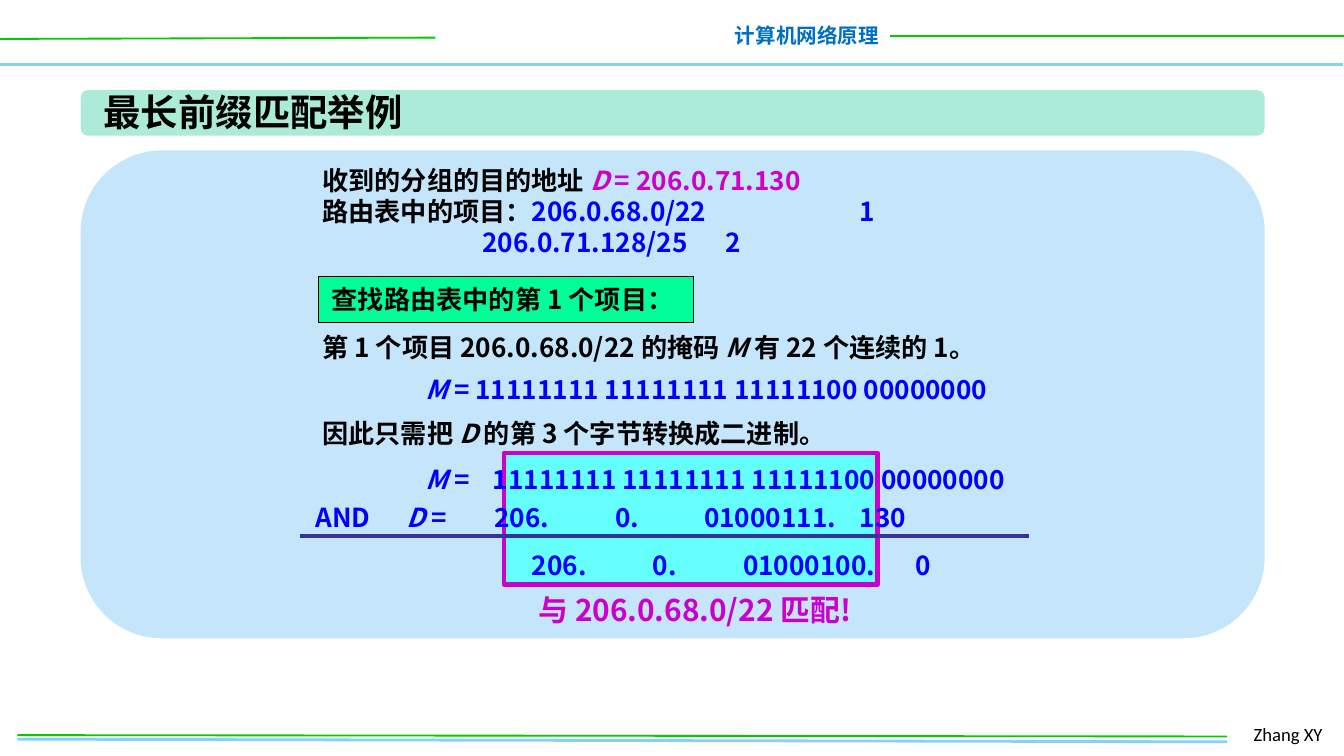
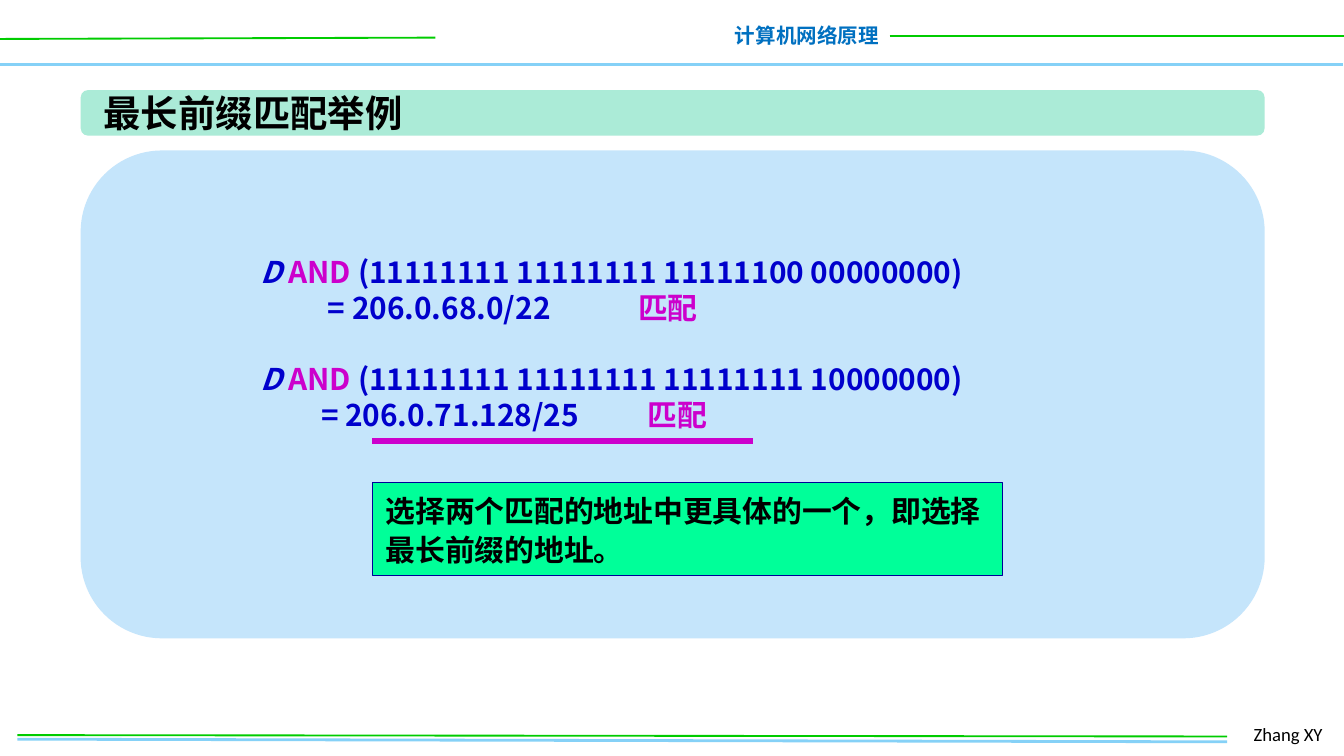
from pptx import Presentation
from pptx.dml.color import RGBColor
from pptx.enum.shapes import MSO_CONNECTOR as Link, MSO_SHAPE as Form
from pptx.enum.text import MSO_ANCHOR as Anchor, PP_ALIGN as Align
from pptx.oxml.ns import qn
from pptx.util import Inches, Pt
from lxml.etree import SubElement

FONT = "Noto Sans CJK SC"
BLACK, BLUE, NAVY, PINK = "000000", "0000FF", "0000CC", "CC00CC"
GREEN, SKY, MINT = "00CC00", "85D1F7", "00FF99"

TITLE = "最长前缀匹配举例"
RULES = [  # start, end, colour, points
    ((-0.01, 0.48), (9.99, 0.48), SKY, 2),
    ((0, 0.29), (3.24, 0.28), GREEN, 1),
    ((6.62, 0.27), (10.01, 0.27), GREEN, 1),
    ((0.13, 5.5), (9.13, 5.52), SKY, 1.5),
    ((0.13, 5.47), (9.13, 5.48), GREEN, 1),
]

# A paragraph is a list of (colour, text); *text* is italic.
INTRO = [
    [(BLACK, "收到的分组的目的地址 "), (PINK, "*D* = 206.0.71.130")],
    [(BLACK, "路由表中的项目："), (BLUE, "206.0.68.0/22\t1")],
    [(BLUE, "\t206.0.71.128/25\t2")],
]
INTRO_TABS = [[], [4], [1.19, 3]]
STEP = "查找路由表中的第 1 个项目："
MASK = "11111111 11111111 11111100 00000000"
ROWS = [  # left, top, width, height, colour, text, tab stops
    (2.25, 3.68, 5.33, 0.34, BLUE, "AND\t*D* =\t206.\t0.\t01000111.\t130",
     [0.68, 1.33, 2.23, 2.89, 4.05]),
    (2.3, 2.42, 5.73, 0.36, BLACK,
     "第 1 个项目 206.0.68.0/22 的掩码 *M *有 22 个连续的 1。", []),
    (3.07, 2.73, 5.08, 0.36, BLUE, f"*M* = {MASK}", []),
    (2.3, 3.06, 4.36, 0.36, BLACK,
     "因此只需把 *D *的第 3 个字节转换成二进制。", []),
    (3.07, 3.4, 5.27, 0.36, BLUE, f"*M* =\t{MASK}", [0.5]),
    (3.86, 4.04, 3.68, 0.34, BLUE, "206.\t0.\t01000100.\t0",
     [0.9, 1.57, 2.85]),
]
MATCH = "与 206.0.68.0/22 匹配!"

TESTS = [  # mask, result, tab stops of the result line
    (MASK, "206.0.68.0/22", [0.5, 2.81]),
    ("11111111 11111111 11111111 10000000", "206.0.71.128/25", [0.45, 2.88]),
]
CHOICE = "选择两个匹配的地址中更具体的一个，即选择最长前缀的地址。"


def tint(code):
    return RGBColor.from_string(code)


def write(frame, paras, size=14, color=BLACK, font=FONT, bold=True, wrap=True,
          align=Align.LEFT, tabs=(), before=(), spacing=None):
    """Fill a frame from a string or paragraphs; tabs and before go by paragraph."""
    if isinstance(paras, str):
        paras = [[(color, paras)]]
    frame.word_wrap = wrap
    frame.vertical_anchor = Anchor.TOP
    frame.margin_left = frame.margin_right = Inches(0.1)
    frame.margin_top = frame.margin_bottom = Inches(0.05)
    for n, runs in enumerate(paras):
        para = frame.add_paragraph() if n else frame.paragraphs[0]
        para.alignment = align
        para.space_before = Pt(before[n] if before else 0)
        if spacing:
            para.line_spacing = spacing
        if tabs and tabs[n]:
            stops = SubElement(para._p.get_or_add_pPr(), qn("a:tabLst"))
            for stop in tabs[n]:
                SubElement(stops, qn("a:tab"), pos=str(Inches(stop)), algn="l")
        for code, text in runs:
            for k, part in enumerate(text.split("*")):
                if not part:
                    continue
                run = para.add_run()
                run.text = part
                face = run.font
                face.size, face.bold, face.italic = Pt(size), bold, k % 2 == 1
                face.color.rgb = tint(code)
                face.name = font
                SubElement(run._r.get_or_add_rPr(), qn("a:ea"), typeface=font)


def label(slide, box, paras, **style):
    shape = slide.shapes.add_textbox(*map(Inches, box))
    write(shape.text_frame, paras, **style)


def block(slide, form, box, fill, edge=None, width=0.75):
    shape = slide.shapes.add_shape(form, *map(Inches, box))
    shape.shadow.inherit = False
    shape.fill.solid()
    shape.fill.fore_color.rgb = tint(fill)
    if edge:
        shape.line.color.rgb = tint(edge)
        shape.line.width = Pt(width)
    else:
        shape.line.fill.background()
    return shape


def rule(slide, start, end, color, width):
    line = slide.shapes.add_connector(Link.STRAIGHT, *map(Inches, start + end))
    line.line.color.rgb = tint(color)
    line.line.width = Pt(width)
    SubElement(line._element.spPr, qn("a:effectLst"))


def page(deck, top):
    """Add a slide with the shared rules, bands, footer and title."""
    slide = deck.slides.add_slide(deck.slide_layouts[5])
    for item in RULES:
        rule(slide, *item)
    label(slide, (5.36, 0.12, 1.28, 0.29), "计算机网络原理", size=11,
          color="0070C0", align=Align.RIGHT, wrap=False)
    label(slide, (9.23, 5.33, 0.74, 0.27), "Zhang XY", size=10,
          font="Calibri", bold=False)
    block(slide, Form.ROUNDED_RECTANGLE, (0.6, 1.12, 8.81, 3.63), "C5E5FB")
    block(slide, Form.ROUNDED_RECTANGLE, (0.6, 0.67, 8.81, 0.34), "ABEBD7")
    title = slide.shapes.title
    title.left, title.top, title.width, title.height = map(
        Inches, (0.67, top, 2.45, 0.44))
    write(title.text_frame, TITLE, size=20, wrap=False)
    tree = title._element.getparent()
    tree.append(title._element)  # bring the title above the bands
    return slide


def lookup(deck):
    slide = page(deck, 0.61)
    block(slide, Form.RECTANGLE, (3.75, 3.37, 2.78, 0.98), "66FFFF", PINK, 2.25)
    label(slide, (2.3, 1.17, 5.73, 0.81), INTRO, tabs=INTRO_TABS)
    step = block(slide, Form.RECTANGLE, (2.37, 2.06, 2.79, 0.34), MINT, BLACK)
    write(step.text_frame, STEP, wrap=False)
    for *box, color, text, stops in ROWS:
        label(slide, box, text, color=color, tabs=[stops])
    rule(slide, (2.23, 3.99), (7.66, 3.99), "333399", 2.25)
    label(slide, (3.85, 4.35, 2.64, 0.37), MATCH, size=16, color=PINK,
          align=Align.CENTER, wrap=False)


def choose(deck):
    slide = page(deck, 0.62)
    paras, tabs, before = [], [], []
    for mask, result, stops in TESTS:
        before += [19 if paras else 0, 0]
        paras += [[(NAVY, "*D *"), (PINK, "AND"), (NAVY, f" ({mask})")],
                  [(NAVY, f"\t= {result}\t"), (PINK, "匹配")]]
        tabs += [[], stops]
    label(slide, (1.84, 1.84, 6.45, 1.45), paras, size=16, tabs=tabs,
          before=before)
    rule(slide, (2.77, 3.28), (5.6, 3.28), PINK, 3)
    note = block(slide, Form.RECTANGLE, (2.77, 3.59, 4.69, 0.69), MINT, "000099")
    write(note.text_frame, CHOICE, size=16, spacing=1.1)


def main():
    deck = Presentation()
    deck.slide_width = Inches(10)
    deck.slide_height = deck.slide_width * 9 // 16
    lookup(deck)
    choose(deck)
    deck.save("out.pptx")


if __name__ == "__main__":
    main()
